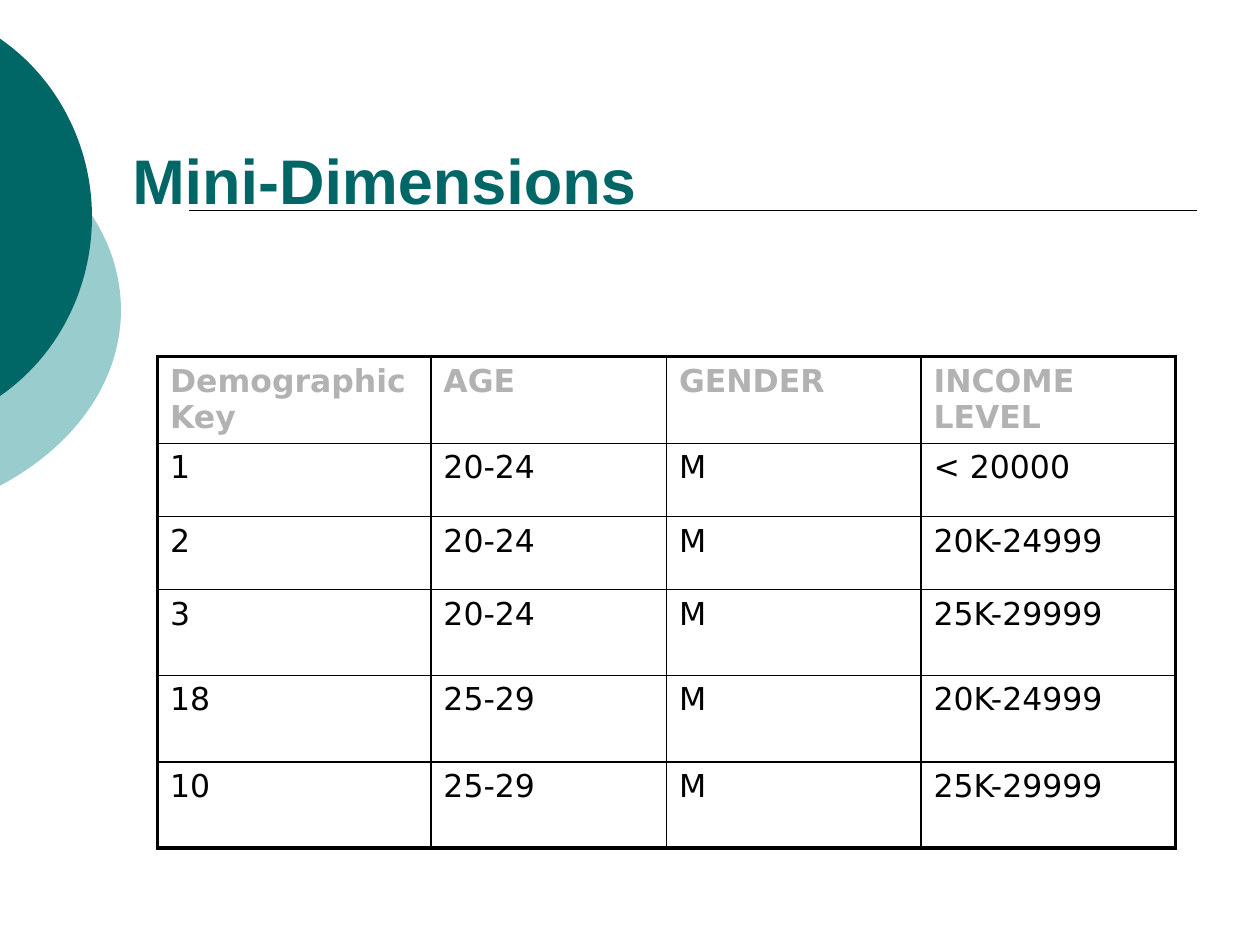
from lxml import etree
from pptx import Presentation
from pptx.dml.color import RGBColor
from pptx.enum.shapes import MSO_CONNECTOR
from pptx.enum.text import MSO_ANCHOR, PP_ALIGN
from pptx.oxml.ns import qn
from pptx.util import Inches, Pt

LINE = MSO_CONNECTOR.STRAIGHT
BOTTOM, LEFT = MSO_ANCHOR.BOTTOM, PP_ALIGN.LEFT

COLORS = {"teal": "006666", "pale": "99CCCC", "gray": "B2B2B2",
          "black": "000000", "white": "FFFFFF"}

TITLE = "Mini-Dimensions"
ROWS = [
    ("Demographic Key", "AGE", "GENDER", "INCOME LEVEL"),
    ("1", "20-24", "M", "< 20000"),
    ("2", "20-24", "M", "20K-24999"),
    ("3", "20-24", "M", "25K-29999"),
    ("18", "25-29", "M", "20K-24999"),
    ("10", "25-29", "M", "25K-29999"),
]
WIDTHS = [2.17, 1.87, 2.02, 2.02]
HEIGHTS = [0.69, 0.58, 0.58, 0.68, 0.69, 0.68]
THIN, THICK = 1, 2.25

# Arcs at the left edge: color, frame, then two cubic curves that share a point
ARCS = [
    ("pale", (-3.54, 0.75, 4.5, 3.42),
     [(-0.01, 1.06), (0.6, 1.38), (0.96, 1.9), (0.96, 2.46),
      (0.96, 3.02), (0.6, 3.54), (-0.01, 3.86)]),
    ("teal", (-2.65, 0, 3.38, 3.45),
     [(-0.01, 0.3), (0.46, 0.62), (0.73, 1.16), (0.73, 1.72),
      (0.73, 2.29), (0.46, 2.83), (-0.01, 3.15)]),
]


def rgb(name):
    return RGBColor.from_string(COLORS[name])


def add_arc(slide, color, box, pts):
    left, top, width, height = map(Inches, box)
    dots = [(Inches(x), Inches(y)) for x, y in pts]
    form = slide.shapes.build_freeform(*dots[0], scale=1.0)
    form.add_line_segments([dots[3], dots[6]], close=True)
    shape = form.convert_to_shape()
    shape.left, shape.top, shape.width, shape.height = left, top, width, height

    # Put the curves in place of the straight segments, within the frame
    track = next(shape._element.iter(qn("a:path")))
    track.set("w", str(width))
    track.set("h", str(height))
    for part in list(track):
        track.remove(part)
    for tag, group in (("moveTo", dots[:1]), ("cubicBezTo", dots[1:4]),
                       ("cubicBezTo", dots[4:]), ("close", [])):
        step = etree.SubElement(track, qn("a:" + tag))
        for x, y in group:
            etree.SubElement(step, qn("a:pt"), x=str(x - left), y=str(y - top))

    shape.shadow.inherit = False
    shape.fill.solid()
    shape.fill.fore_color.rgb = rgb(color)
    shape.line.fill.background()


def set_borders(cell, sizes):
    props = cell._tc.get_or_add_tcPr()
    for i, (side, size) in enumerate(sizes.items()):
        line = etree.Element(qn("a:ln" + side), w=str(Pt(size)))
        fill = etree.SubElement(line, qn("a:solidFill"))
        etree.SubElement(fill, qn("a:srgbClr"), val=COLORS["black"])
        props.insert(i, line)


def style(par, font, size, color, bold):
    par.font.name = font
    par.font.size = Pt(size)
    par.font.bold = bold
    par.font.color.rgb = rgb(color)
    par.alignment = LEFT


def add_grid(slide):
    frame = slide.shapes.add_table(
        len(ROWS), len(WIDTHS), Inches(1.25), Inches(2.83),
        Inches(sum(WIDTHS)), Inches(sum(HEIGHTS)))
    table = frame.table
    table.horz_banding = False
    for col, width in zip(table.columns, WIDTHS):
        col.width = Inches(width)
    for row, height in zip(table.rows, HEIGHTS):
        row.height = Inches(height)
    last_row, last_col = len(ROWS) - 1, len(WIDTHS) - 1
    for r, row in enumerate(ROWS):
        for c, text in enumerate(row):
            cell = table.cell(r, c)
            cell.text = text
            head = r == 0
            style(cell.text_frame.paragraphs[0], "DejaVu Sans", 18,
                  "gray" if head else "black", head)
            cell.fill.solid()
            cell.fill.fore_color.rgb = rgb("white")
            edges = {"L": c == 0, "R": c == last_col,
                     "T": head, "B": r == last_row}
            set_borders(cell, {s: THICK if outer else THIN
                               for s, outer in edges.items()})


def main():
    prs = Presentation()
    prs.slide_width, prs.slide_height = Inches(10), Inches(7.5)
    slide = prs.slides.add_slide(prs.slide_layouts[5])

    # Side arcs and rule
    for color, box, pts in ARCS:
        add_arc(slide, color, box, pts)
    rule = slide.shapes.add_connector(
        LINE, Inches(1.5), Inches(1.67), Inches(9.5), Inches(1.67))
    rule.line.color.rgb = rgb("black")
    rule.line.width = Pt(1)
    etree.SubElement(rule._element.spPr, qn("a:effectLst"))

    # Title
    title = slide.shapes.title
    title.left, title.top = Inches(0.95), Inches(0.94)
    title.width, title.height = Inches(8.93), Inches(0.83)
    title.text = TITLE
    title.text_frame.vertical_anchor = BOTTOM
    style(title.text_frame.paragraphs[0], "Arial", 36, "teal", True)

    # Table
    add_grid(slide)
    prs.save("out.pptx")


if __name__ == "__main__":
    main()
